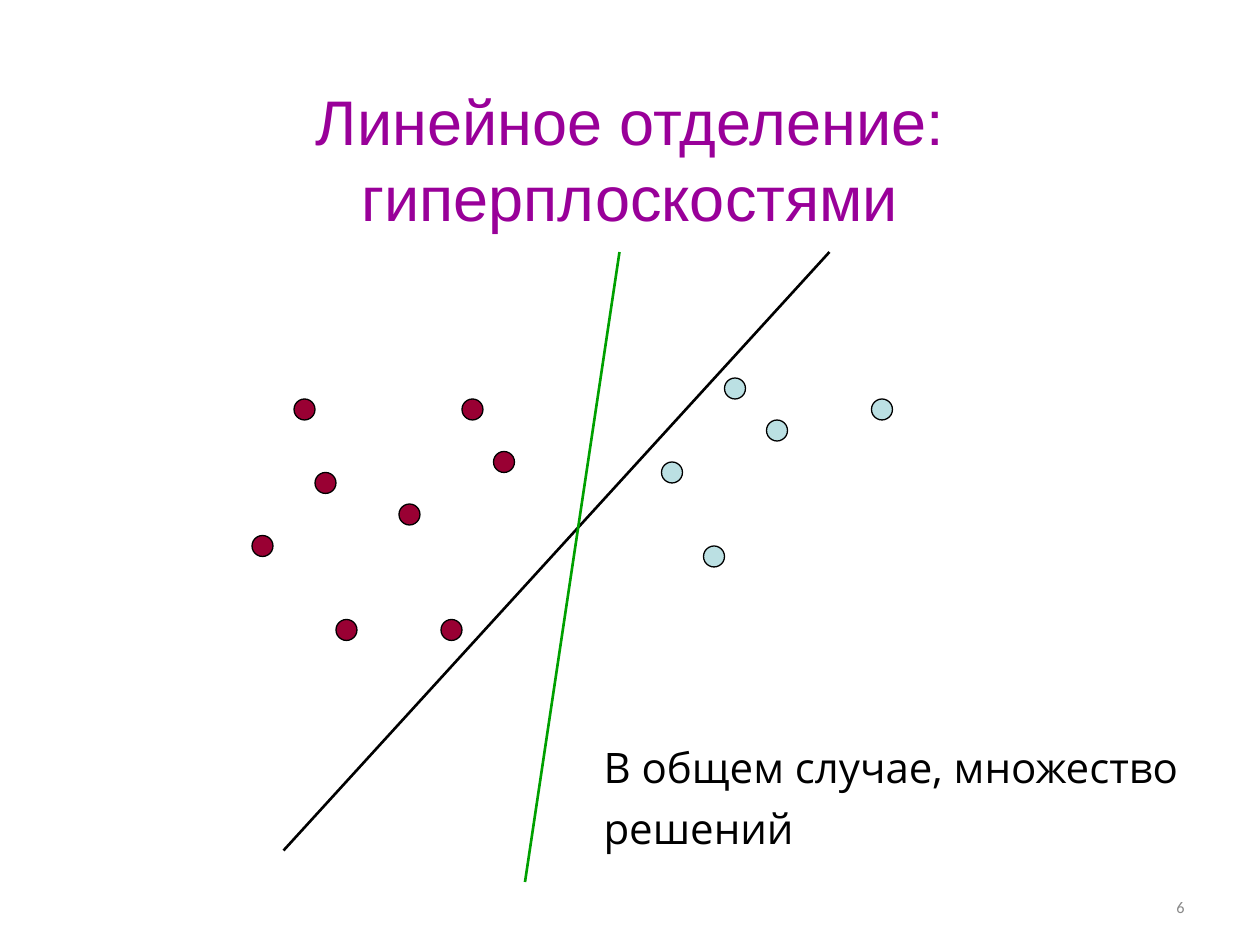
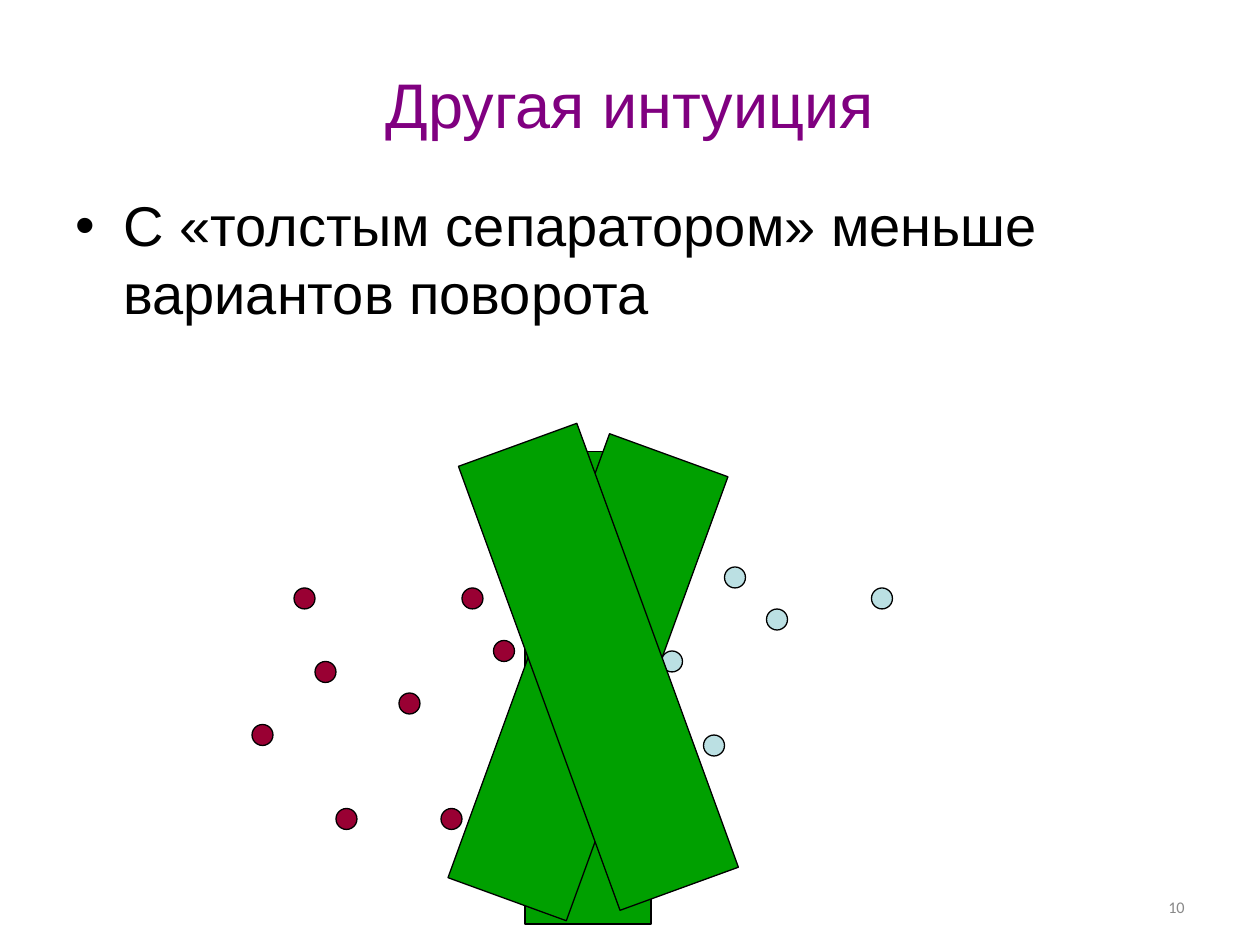
from lxml import etree
from pptx import Presentation
from pptx import util as u
from pptx.dml.color import RGBColor
from pptx.enum import shapes, text
from pptx.oxml import ns

COLORS = {
    "title": "990099", "title_dark": "800080", "ink": "000000",
    "number": "898989", "left_class": "990033", "right_class": "BBE0E3",
    "separator": "00A000",
}
CELL = u.Inches(1) // 12  # the slide is 120 columns by 90 rows
DOT = 2  # diameter in cells

# Column and row of each dot inside the scatter
LEFT_CLASS = [(4, 2), (6, 9), (8, 23), (20, 2), (0, 15), (14, 12), (23, 7), (18, 23)]
RIGHT_CLASS = [(39, 8), (43, 16), (45, 0), (59, 2), (49, 4)]


def cells(*counts):
    return [round(count * CELL) for count in counts]


def color(name):
    return RGBColor.from_string(COLORS[name])


def add_text(slide, box, lines, font, size, ink, align=text.PP_ALIGN.LEFT,
             anchor=text.MSO_ANCHOR.TOP, wrap=True, before=0, spacing=None):
    """Write one paragraph per line into a box of cells; return its frame."""
    frame = slide.shapes.add_textbox(*cells(*box)).text_frame
    frame.word_wrap = wrap
    frame.vertical_anchor = anchor
    for index, line in enumerate(lines):
        paragraph = frame.add_paragraph() if index else frame.paragraphs[0]
        paragraph.alignment = align
        paragraph.space_before = u.Pt(before)
        if spacing:
            paragraph.line_spacing = spacing
        run = paragraph.add_run()
        run.text = line
        run.font.name = font
        run.font.size = u.Pt(size)
        run.font.color.rgb = color(ink)
    return frame


def add_title(slide, box, title, ink):
    add_text(slide, box, [title], "Arial", 36, ink,
             text.PP_ALIGN.CENTER, text.MSO_ANCHOR.BOTTOM)


def add_number(slide, number):
    add_text(slide, (86, 85, 28, 3.2), [str(number)], "Calibri", 9.3, "number",
             text.PP_ALIGN.RIGHT, text.MSO_ANCHOR.MIDDLE, spacing=0.8)


def add_bullet(slide, box, line):
    frame = add_text(slide, box, [line], "Arial", 32, "ink", before=8)
    props = frame.paragraphs[0]._p.get_or_add_pPr()
    indent = u.Inches(0.38)
    props.set("marL", str(indent))
    props.set("indent", str(-indent))
    etree.SubElement(props, ns.qn("a:buFont")).set("typeface", "Arial")
    etree.SubElement(props, ns.qn("a:buChar")).set("char", "•")


def add_outlined(slide, kind, box, fill, rotation=0):
    figure = slide.shapes.add_shape(kind, *cells(*box))
    figure.shadow.inherit = False
    figure.rotation = rotation
    figure.fill.solid()
    figure.fill.fore_color.rgb = color(fill)
    figure.line.color.rgb = color("ink")
    figure.line.width = u.Pt(0.75)


def add_scatter(slide, left, top):
    """Draw both classes of dots from the scatter's top left cell."""
    for fill, dots in (("left_class", LEFT_CLASS), ("right_class", RIGHT_CLASS)):
        for column, row in dots:
            add_outlined(slide, shapes.MSO_SHAPE.OVAL,
                         (left + column, top + row, DOT, DOT), fill)


def add_thin_separators(slide, left, top):
    for ink, start, end in (("ink", (3, 45), (55, -12)),
                            ("separator", (26, 48), (35, -12))):
        ends = cells(left + start[0], top + start[1], left + end[0], top + end[1])
        separator = slide.shapes.add_connector(shapes.MSO_CONNECTOR.STRAIGHT, *ends)
        separator.line.color.rgb = color(ink)
        separator.line.width = u.Pt(1.5)
        etree.SubElement(separator._element.spPr, ns.qn("a:effectLst"))


def add_thick_separators(slide, left, top):
    for column, row, rotation in ((26, -11, 0), (26, -12, 20), (27, -13, 340)):
        add_outlined(slide, shapes.MSO_SHAPE.RECTANGLE,
                     (left + column, top + row, 12, 45), "separator", rotation)


def build_hyperplanes(slide):
    scatter = (24, 36)
    add_number(slide, 6)
    add_title(slide, (9, 3.7, 102, 19.2),
              "Линейное отделение: гиперплоскостями", "title")
    add_scatter(slide, *scatter)
    add_thin_separators(slide, *scatter)
    remark = add_text(slide, (56.3, 70, 57.8, 11.9),
                      ["В общем случае, множество", "решений"],
                      "Open Sans", 24, "ink", wrap=False, before=6)
    remark.auto_size = text.MSO_AUTO_SIZE.SHAPE_TO_FIT_TEXT


def build_intuition(slide):
    scatter = (24, 54)
    add_number(slide, 10)
    add_title(slide, (6, 3.6, 108, 10.4), "Другая интуиция", "title_dark")
    add_bullet(slide, (6, 17.6, 108, 68.4),
               "С «толстым сепаратором» меньше вариантов поворота")
    add_scatter(slide, *scatter)
    add_thick_separators(slide, *scatter)


def main():
    deck = Presentation()
    deck.slide_width, deck.slide_height = cells(120, 90)
    for build in (build_hyperplanes, build_intuition):
        build(deck.slides.add_slide(deck.slide_layouts[6]))
    deck.save("out.pptx")


if __name__ == "__main__":
    main()
